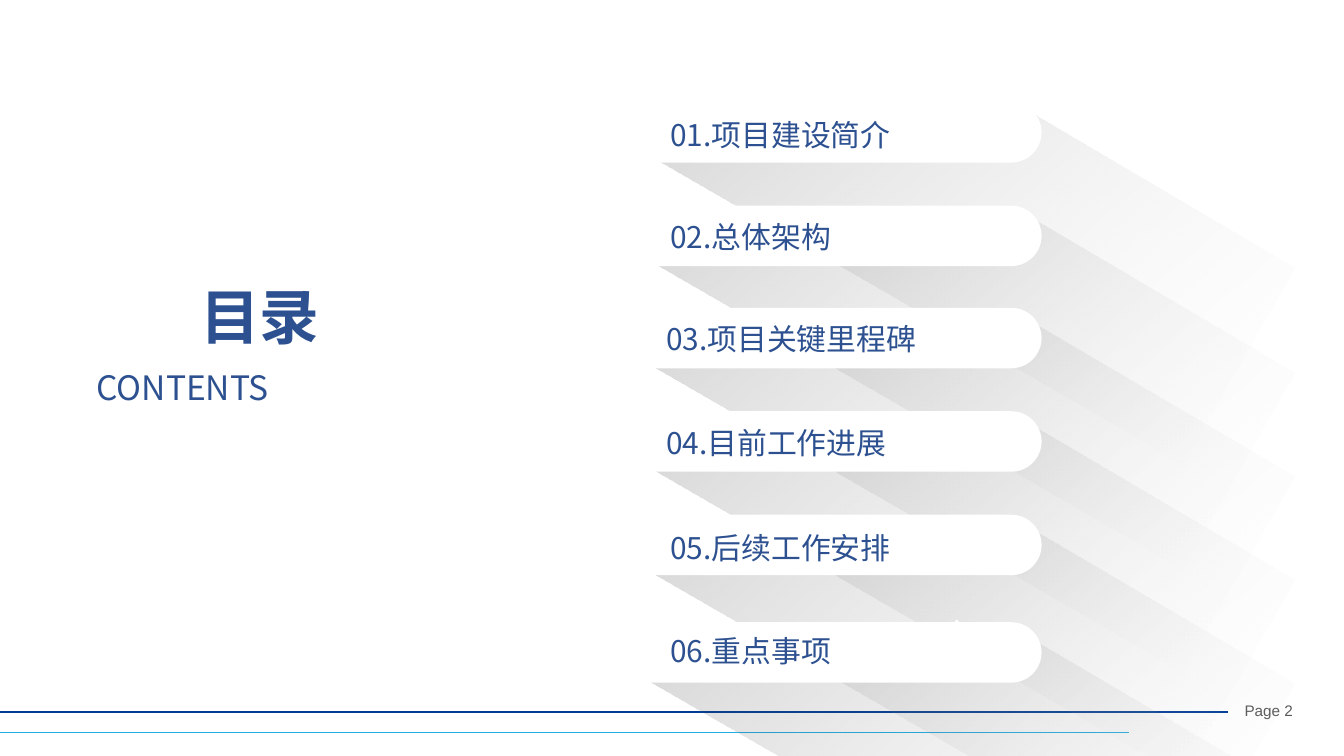
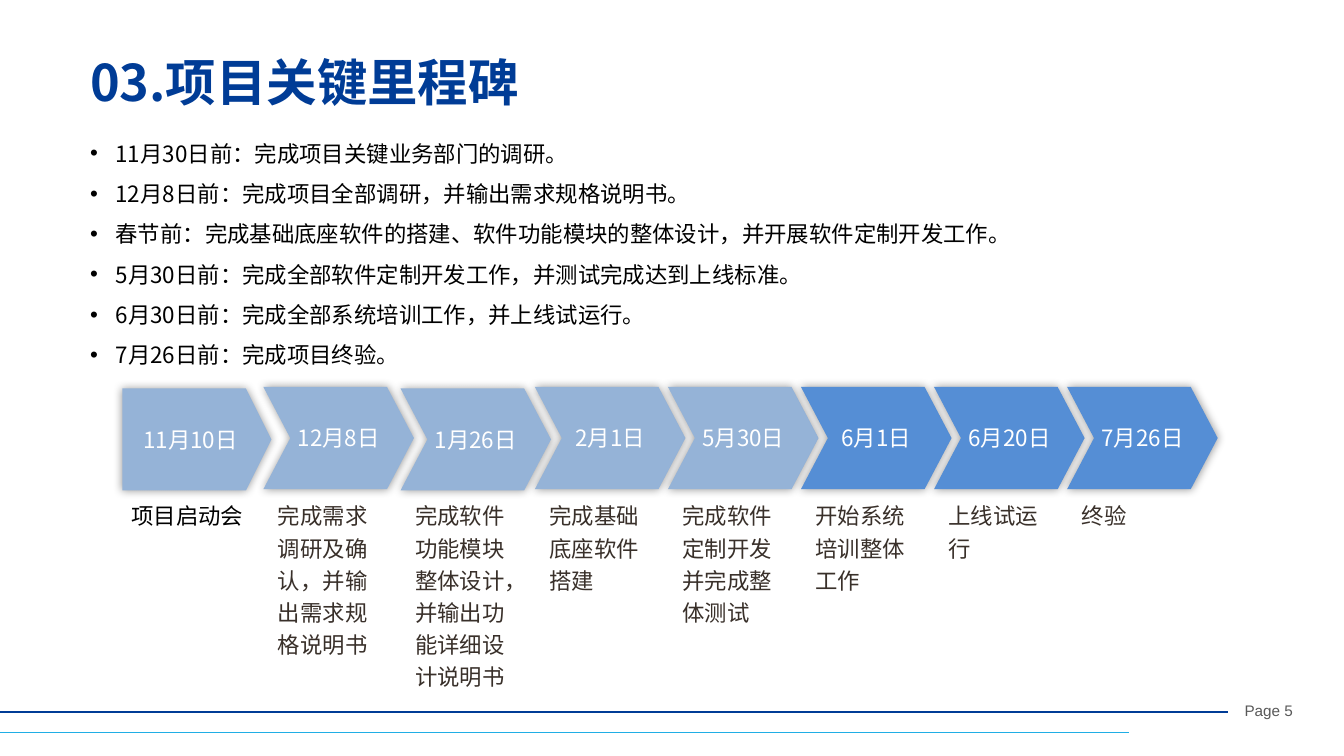
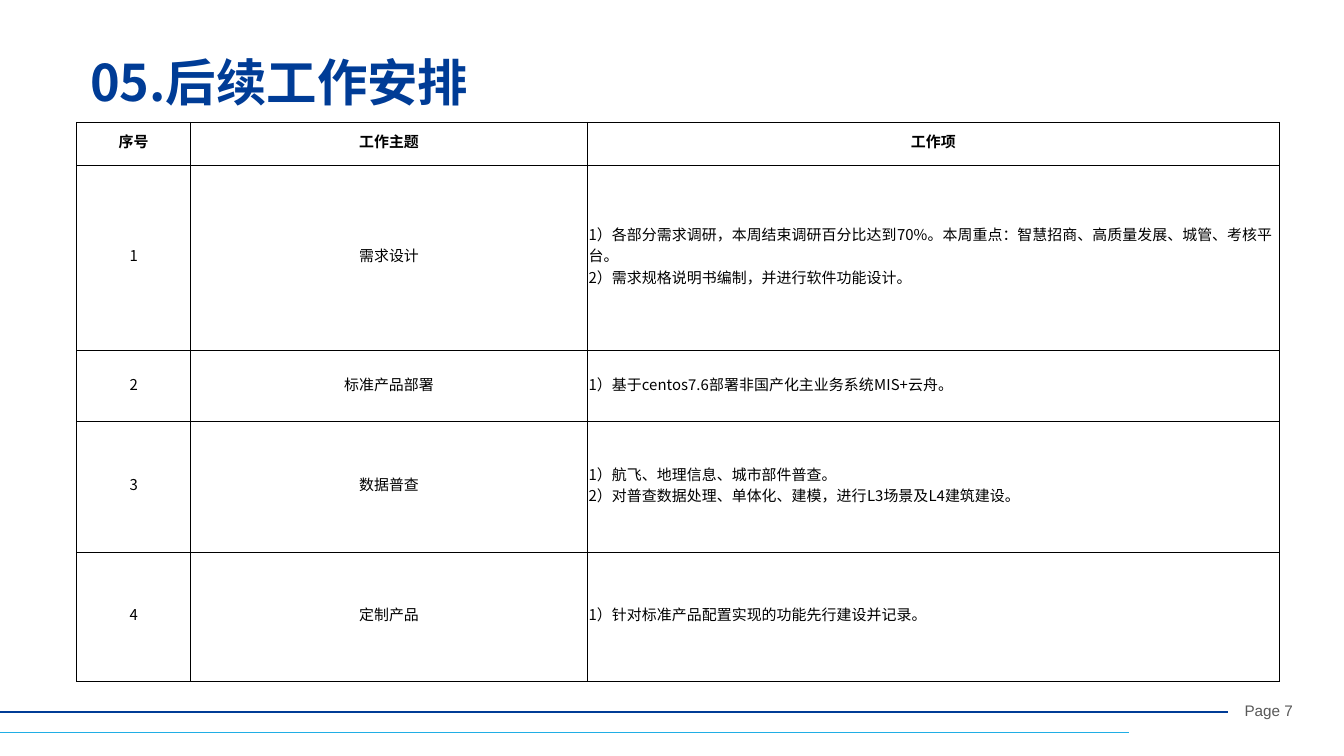
from dataclasses import dataclass

from lxml import etree
from pptx import Presentation
from pptx.dml.color import RGBColor
from pptx.enum.shapes import MSO_CONNECTOR, MSO_SHAPE
from pptx.enum.text import MSO_ANCHOR, MSO_AUTO_SIZE, PP_ALIGN
from pptx.oxml.ns import qn
from pptx.util import Inches, Pt

LEFT, CENTER, JUSTIFY = PP_ALIGN.LEFT, PP_ALIGN.CENTER, PP_ALIGN.JUSTIFY
TOP, MIDDLE = MSO_ANCHOR.TOP, MSO_ANCHOR.MIDDLE
NO_AUTOFIT = MSO_AUTO_SIZE.NONE
STRAIGHT = MSO_CONNECTOR.STRAIGHT
ROUNDED, PENTAGON = MSO_SHAPE.ROUNDED_RECTANGLE, MSO_SHAPE.PENTAGON
CONTENT_LAYOUT, TITLE_LAYOUT = 1, 5


@dataclass(frozen=True)
class Theme:
    font: str = "Noto Sans CJK SC"
    footer_font: str = "Arial"
    title: str = "003C96"
    contents: str = "2D5190"
    accent: str = "20AEE5"
    done: str = "95B3D7"
    planned: str = "558ED5"
    label: str = "39302A"
    black: str = "000000"
    white: str = "FFFFFF"
    pale: str = "F2F2F2"
    gray: str = "595959"
    cover_size: float = 32
    title_size: float = 27
    subtitle_size: float = 18
    contents_size: float = 16
    body_size: float = 12
    footer_size: float = 8.2
    table_size: float = 8


THEME = Theme()

CONTENTS = [
    ("01.项目建设简介", 0.66, 0.76, 4.89, 0.82),
    ("02.总体架构", 1.44, 1.53, 4.89, 1.58),
    ("03.项目关键里程碑", 2.21, 2.29, 4.86, 2.34),
    ("04.目前工作进展", 2.98, 3.06, 4.86, 3.11),
    ("05.后续工作安排", 3.75, 3.83, 4.89, 3.89),
    ("06.重点事项", 4.57, 4.63, 4.89, 4.66),
]
DOTTED_ENTRY = 4

GOALS = [
    "11月30日前：完成项目关键业务部门的调研。",
    "12月8日前：完成项目全部调研，并输出需求规格说明书。",
    "春节前：完成基础底座软件的搭建、软件功能模块的整体设计，并开展软件定制开发工作。",
    "5月30日前：完成全部软件定制开发工作，并测试完成达到上线标准。",
    "6月30日前：完成全部系统培训工作，并上线试运行。",
    "7月26日前：完成项目终验。",
]

MILESTONES = [
    ("11月10日", "项目启动会", 0.91, 2.89),
    ("12月8日", "完成需求调研及确认，并输出需求规格说明书", 1.96, 2.88),
    ("1月26日", "完成软件功能模块整体设计，并输出功能详细设计说明书", 2.98, 2.89),
    ("2月1日", "完成基础底座软件搭建", 3.98, 2.88),
    ("5月30日", "完成软件定制开发并完成整体测试", 4.97, 2.88),
    ("6月1日", "开始系统培训整体工作", 5.96, 2.88),
    ("6月20日", "上线试运行", 6.95, 2.88),
    ("7月26日", "终验", 7.94, 2.88),
]
DONE_COUNT = 5

TASKS = [
    ("序号", "工作主题", ["工作项"]),
    ("1", "需求设计", [
        "1）各部分需求调研，本周结束调研百分比达到70%。本周重点：智慧招商、高质量发展、城管、考核平台。",
        "2）需求规格说明书编制，并进行软件功能设计。"]),
    ("2", "标准产品部署", ["1）基于centos7.6部署非国产化主业务系统MIS+云舟。"]),
    ("3", "数据普查", [
        "1）航飞、地理信息、城市部件普查。",
        "2）对普查数据处理、单体化、建模，进行L3场景及L4建筑建设。"]),
    ("4", "定制产品", ["1）针对标准产品配置实现的功能先行建设并记录。"]),
]
TASK_COLUMNS = [0.85, 2.95, 5.15]
TASK_ROWS = [0.32, 1.38, 0.53, 0.97, 0.96]


def inches(values):
    return [Inches(value) for value in values]


def write(frame, lines, size, color, bold=False, align=LEFT, spacing=None,
          font=THEME.font, bullet=None):
    frame.word_wrap = True
    for index, line in enumerate(lines):
        paragraph = frame.paragraphs[0] if index == 0 else frame.add_paragraph()
        paragraph.text = line
        paragraph.alignment = align
        paragraph.space_before = Pt(0)
        if spacing:
            paragraph.line_spacing = spacing
        properties = paragraph._p.get_or_add_pPr()
        if bullet:
            properties.set("marL", str(Inches(0.19)))
            properties.set("indent", str(-Inches(0.19)))
            etree.SubElement(properties, qn("a:buChar")).set("char", bullet)
        paragraph.font.size = Pt(size)
        paragraph.font.bold = bold
        paragraph.font.color.rgb = RGBColor.from_string(color)
        paragraph.font.name = font
        defaults = properties.find(qn("a:defRPr"))
        etree.SubElement(defaults, qn("a:ea")).set("typeface", font)


def add_text(slide, box, text, size, color, **style):
    shape = slide.shapes.add_textbox(*inches(box))
    write(shape.text_frame, [text], size, color, **style)
    return shape


def fill_placeholder(shape, box, lines, size, color, **style):
    shape.left, shape.top, shape.width, shape.height = inches(box)
    frame = shape.text_frame
    frame.auto_size = NO_AUTOFIT
    frame.vertical_anchor = TOP
    write(frame, lines, size, color, **style)


def paint(shape, color):
    shape.fill.solid()
    shape.fill.fore_color.rgb = RGBColor.from_string(color)
    shape.line.fill.background()
    shape.shadow.inherit = False


def add_outline(slide, left, top, points):
    first, *others = [inches(point) for point in points]
    builder = slide.shapes.build_freeform(*first)
    builder.add_line_segments(others, close=True)
    return builder.convert_to_shape(Inches(left), Inches(top))


def add_footer(slide, page):
    for width, top, color, weight in (
            (9.14, 5.3, THEME.title, 1), (8.4, 5.45, THEME.accent, 0.75)):
        line = slide.shapes.add_connector(STRAIGHT, *inches((0, top, width, top)))
        line.line.color.rgb = RGBColor.from_string(color)
        line.line.width = Pt(weight)
        etree.SubElement(line._element.spPr, qn("a:effectLst"))
    number = add_text(slide, (9.26, 5.24, 0.88, 0.13), f"Page {page}",
                      THEME.footer_size, THEME.gray, spacing=0.85,
                      font=THEME.footer_font)
    frame = number.text_frame
    frame.margin_left = frame.margin_right = 0
    frame.margin_top = frame.margin_bottom = 0


def start_slide(presentation, layout, page):
    slide = presentation.slides.add_slide(presentation.slide_layouts[layout])
    add_footer(slide, page)
    return slide


def add_heading(slide, text):
    fill_placeholder(slide.shapes.title, (0.57, 0.33, 5.93, 0.85), [text],
                     THEME.title_size, THEME.title, bold=True)


def add_long_shadow(slide, left, top):
    shadow = add_outline(slide, left, top,
                         [(0, 1.7), (2.45, 0), (4.81, 0.02), (4.81, 1.7)])
    shadow.rotation = 30
    shadow.shadow.inherit = False
    shadow.fill.gradient()
    shadow.fill.gradient_angle = 340
    stops = zip(shadow.fill.gradient_stops, (THEME.black, THEME.pale), (0, 1))
    for stop, color, position in stops:
        stop.color.rgb = RGBColor.from_string(color)
        stop.position = position
    colors = shadow._element.spPr.iter(qn("a:srgbClr"))
    for color, opacity in zip(list(colors), (20, 0)):
        etree.SubElement(color, qn("a:alpha")).set("val", str(opacity * 1000))
    shadow.line.fill.background()
    return shadow


def build_contents(presentation, page):
    slide = start_slide(presentation, TITLE_LAYOUT, page)
    fill_placeholder(slide.shapes.title, (0.62, 2.03, 2.63, 0.64), ["目录"],
                     THEME.cover_size, THEME.contents, bold=True, align=CENTER)
    add_text(slide, (0.62, 2.68, 2.63, 0.4), "CONTENTS",
             THEME.subtitle_size, THEME.contents, align=JUSTIFY)
    for index, entry in enumerate(CONTENTS):
        label, shadow_top, pill_top, label_left, label_top = entry
        shadow = add_long_shadow(slide, 4.73, shadow_top)
        if index == DOTTED_ENTRY:
            shadow.text_frame.vertical_anchor = MIDDLE
            write(shadow.text_frame, ["·"], THEME.subtitle_size, THEME.white,
                  align=CENTER, font=THEME.footer_font)
        pill = slide.shapes.add_shape(
            ROUNDED, *inches((4.5, pill_top, 3.25, 0.45)))
        pill.adjustments[0] = 0.5
        paint(pill, THEME.white)
        add_text(slide, (label_left, label_top, 2.39, 0.37), label,
                 THEME.contents_size, THEME.contents)


def add_milestone(slide, index, date, label, left, top):
    first = index == 0
    width, height, tip = 1.12, 0.76, 0.2
    if first:
        arrow = slide.shapes.add_shape(
            PENTAGON, *inches((left, top, 1.11, height)))
        arrow.adjustments[0] = 0.25
    else:
        shoulder, middle = width - tip, height / 2
        arrow = add_outline(slide, left, top, [
            (0, 0), (shoulder, 0), (width, middle),
            (shoulder, height), (0, height), (tip, middle)])
    paint(arrow, THEME.done if index < DONE_COUNT else THEME.planned)
    effects = arrow._element.spPr.find(qn("a:effectLst"))
    glow = etree.SubElement(effects, qn("a:outerShdw"))
    glow.set("blurRad", str(Pt(5)))
    color = etree.SubElement(glow, qn("a:srgbClr"))
    color.set("val", THEME.black)
    etree.SubElement(color, qn("a:alpha")).set("val", "40000")
    frame = arrow.text_frame
    frame.vertical_anchor = MIDDLE
    frame.margin_left = frame.margin_right = Inches(0.07)
    frame.margin_top = frame.margin_bottom = Inches(0.04)
    write(frame, [date], THEME.body_size, THEME.white, align=CENTER)
    label_left, label_width = (left - 0.03, 1.09) if first else (left + 0.01, 1)
    add_text(slide, (label_left, 3.65, label_width, 2.07), label,
             THEME.body_size, THEME.black if first else THEME.label, spacing=1.2)


def build_milestones(presentation, page):
    slide = start_slide(presentation, CONTENT_LAYOUT, page)
    add_heading(slide, "03.项目关键里程碑")
    fill_placeholder(slide.placeholders[1], (0.57, 0.89, 8.39, 1.53), GOALS,
                     THEME.body_size, THEME.black, spacing=1.5, bullet="•")
    for index, milestone in enumerate(MILESTONES):
        add_milestone(slide, index, *milestone)


def format_cell(cell, lines, bold, align):
    cell.margin_left = cell.margin_right = cell.margin_top = Inches(0.01)
    cell.margin_bottom = Inches(0.05)
    cell.vertical_anchor = MIDDLE
    properties = cell._tc.get_or_add_tcPr()
    for side in ("lnL", "lnR", "lnT", "lnB"):
        border = etree.SubElement(properties, qn(f"a:{side}"))
        border.set("w", str(Pt(0.5)))
        fill = etree.SubElement(border, qn("a:solidFill"))
        etree.SubElement(fill, qn("a:srgbClr")).set("val", THEME.black)
    cell.fill.background()
    write(cell.text_frame, lines, THEME.table_size, THEME.black,
          bold=bold, align=align)


def add_task_table(slide, left, top):
    box = (left, top, sum(TASK_COLUMNS), sum(TASK_ROWS))
    table = slide.shapes.add_table(
        len(TASK_ROWS), len(TASK_COLUMNS), *inches(box)).table
    table.first_row = table.horz_banding = False
    for column, width in zip(table.columns, TASK_COLUMNS):
        column.width = Inches(width)
    for index, (number, topic, items) in enumerate(TASKS):
        table.rows[index].height = Inches(TASK_ROWS[index])
        header = index == 0
        for column, lines in enumerate(([number], [topic], items)):
            align = CENTER if header or column < 2 else LEFT
            format_cell(table.cell(index, column), lines, header, align)


def build_tasks(presentation, page):
    slide = start_slide(presentation, TITLE_LAYOUT, page)
    add_heading(slide, "05.后续工作安排")
    add_task_table(slide, 0.57, 0.91)


def main():
    presentation = Presentation()
    presentation.slide_width = Inches(10)
    presentation.slide_height = presentation.slide_width * 9 // 16
    build_contents(presentation, 2)
    build_milestones(presentation, 5)
    build_tasks(presentation, 7)
    presentation.save("out.pptx")


if __name__ == "__main__":
    main()
